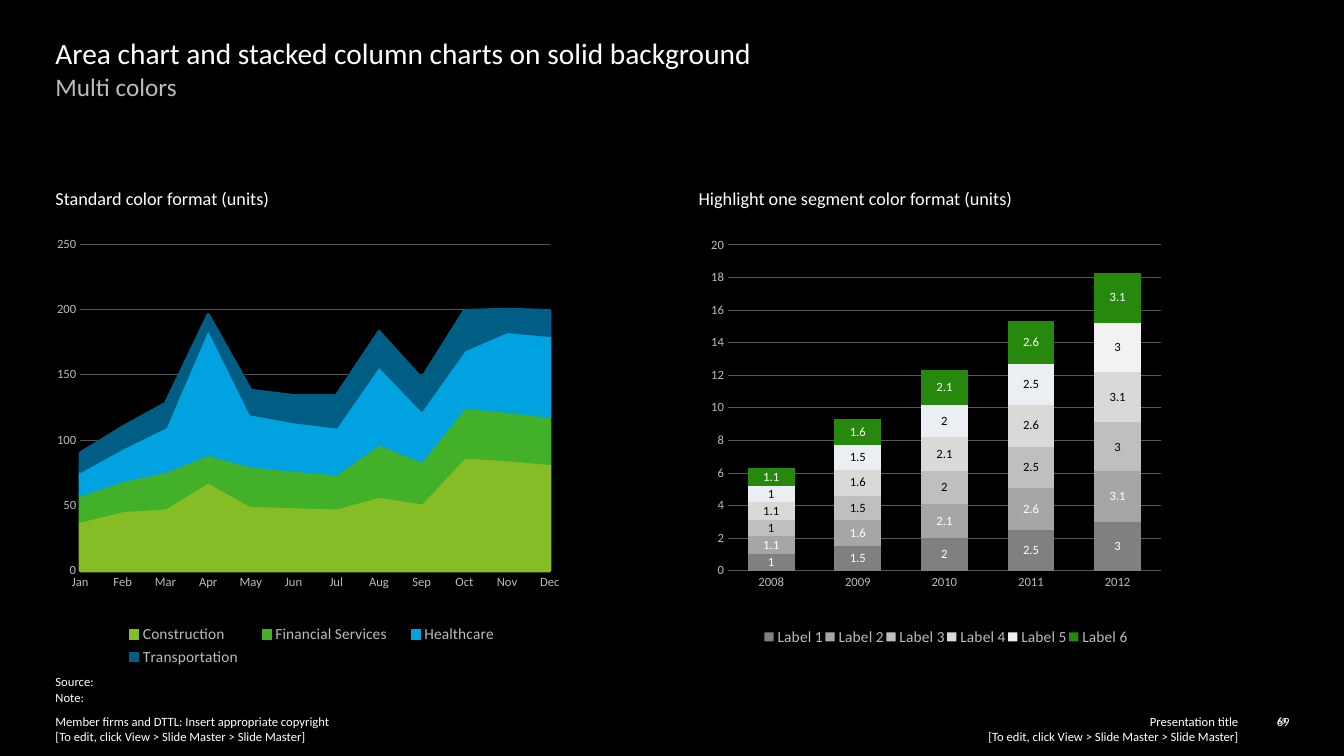
import pptx
import pptx.chart.data
import pptx.dml.color
import pptx.enum.chart
import pptx.enum.text
import pptx.oxml
import pptx.oxml.ns
import pptx.util
from dataclasses import dataclass

Inches = pptx.util.Inches
Pt = pptx.util.Pt
ChartType = pptx.enum.chart.XL_CHART_TYPE

# Content
TITLE = "Area chart and stacked column charts on solid background"
SUBTITLE = "Multi colors"
NOTES = ["Source:", "Note:"]
EDIT_HINT = "[To edit, click View > Slide Master > Slide Master]"
COPYRIGHT = "Member firms and DTTL: Insert appropriate copyright\n" + EDIT_HINT
RUNNING_TITLE = "Presentation title\n" + EDIT_HINT
PAGE_NUMBER = "69"

MONTHS = ["Jan", "Feb", "Mar", "Apr", "May", "Jun",
          "Jul", "Aug", "Sep", "Oct", "Nov", "Dec"]
SECTORS = [  # name, values, colour
    ("Construction", [38, 46, 48, 68, 50, 49, 48, 57, 52, 87, 85, 82], "86BC25"),
    ("Financial Services", [20, 23, 28, 21, 30, 28, 26, 40, 32, 38, 37, 36], "43B02A"),
    ("Healthcare", [18, 25, 34, 97, 40, 37, 36, 60, 39, 44, 61, 62], "00A3E0"),
    ("Transportation", [14, 16, 18, 10, 18, 20, 24, 26, 24, 30, 17, 19], "005D84"),
]
YEARS = ["2008", "2009", "2010", "2011", "2012"]
ODD_VALUES = [1, 1.5, 2, 2.5, 3]
EVEN_VALUES = [1.1, 1.6, 2.1, 2.6, 3.1]
SEGMENTS = [  # name, values, colour, label colour
    ("Label 1", ODD_VALUES, "808080", "FFFFFF"),
    ("Label 2", EVEN_VALUES, "A6A6A6", "FFFFFF"),
    ("Label 3", ODD_VALUES, "BFBFBF", "000000"),
    ("Label 4", EVEN_VALUES, "D9D9D9", "000000"),
    ("Label 5", ODD_VALUES, "EBEEF2", "000000"),
    ("Label 6", EVEN_VALUES, "26890D", "FFFFFF"),
]


@dataclass(frozen=True)
class Theme:
    font: str = "Calibri"
    background: str = "000000"
    text: str = "FFFFFF"
    muted: str = "BBBCBC"
    rule: str = "53565A"
    last_point: str = "F2F2F2"
    title: float = 21
    subtitle: float = 18
    heading: float = 13
    legend: float = 11
    small: float = 9
    tiny: float = 6.5


THEME = Theme()
LEFT, RIGHT = 0.55, 6.93
HEADING_TOP, CHART_TOP, FOOTER_TOP = 1.86, 2.32, 7.08
CHART_WIDTH, CHART_HEIGHT = 5, 4.37


def rgb(colour):
    return pptx.dml.color.RGBColor.from_string(colour)


def style_font(font, size, colour):
    font.name, font.size, font.bold = THEME.font, Pt(size), False
    font.color.rgb = rgb(colour)


def write_text(box, paragraphs, size=THEME.small, colour=THEME.text, align="LEFT", after=0):
    frame = box.text_frame
    frame.word_wrap = True
    frame.auto_size = pptx.enum.text.MSO_AUTO_SIZE.NONE
    frame.vertical_anchor = pptx.enum.text.MSO_ANCHOR.TOP
    frame.margin_left = frame.margin_top = frame.margin_right = frame.margin_bottom = 0
    for index, text in enumerate(paragraphs):
        para = frame.add_paragraph() if index else frame.paragraphs[0]
        para.alignment = getattr(pptx.enum.text.PP_ALIGN, align)
        para.space_before, para.space_after = Pt(0), Pt(after)
        for line_number, line in enumerate(text.split("\n")):
            if line_number:
                para.add_line_break()
            span = para.add_run()
            span.text = line
            style_font(span.font, size, colour)


def add_text(page, place, paragraphs, **style):
    box = page.shapes.add_textbox(*map(Inches, place))
    write_text(box, paragraphs, **style)


def set_layout(parent, position, place, inner=False):
    """Fix the place of a chart part, as fractions of the chart."""
    for old in parent.findall(pptx.oxml.ns.qn("c:layout")):
        parent.remove(old)
    target = '<c:layoutTarget val="inner"/>' if inner else ""
    modes = '<c:xMode val="edge"/><c:yMode val="edge"/>'
    sizes = "".join(f'<c:{key} val="{value}"/>' for key, value in zip("xywh", place))
    parent.insert(position, pptx.oxml.parse_xml(
        f'<c:layout {pptx.oxml.ns.nsdecls("c")}><c:manualLayout>'
        f"{target}{modes}{sizes}</c:manualLayout></c:layout>"))


def add_chart(page, kind, left, categories, series, top_value, step, plot_place, legend_place):
    data = pptx.chart.data.CategoryChartData()
    data.categories = categories
    for name, values, *_ in series:
        data.add_series(name, values)
    place = map(Inches, (left, CHART_TOP, CHART_WIDTH, CHART_HEIGHT))
    chart = page.shapes.add_chart(kind, *place, data).chart
    chart.has_title = False
    style_font(chart.font, THEME.small, THEME.text)

    # Axes
    for axis in (chart.category_axis, chart.value_axis):
        axis.major_tick_mark = axis.minor_tick_mark = pptx.enum.chart.XL_TICK_MARK.NONE
        style_font(axis.tick_labels.font, THEME.small, THEME.muted)
    chart.value_axis.minimum_scale = 0
    chart.value_axis.maximum_scale = top_value
    chart.value_axis.major_unit = step
    chart.value_axis.format.line.fill.background()
    chart.value_axis.has_major_gridlines = True
    for part in (chart.category_axis, chart.value_axis.major_gridlines):
        part.format.line.color.rgb = rgb(THEME.rule)
        part.format.line.width = Pt(0.5)

    # Legend and plot area
    chart.has_legend = True
    chart.legend.position = pptx.enum.chart.XL_LEGEND_POSITION.BOTTOM
    chart.legend.include_in_layout = False
    style_font(chart.legend.font, THEME.legend, THEME.muted)
    set_layout(chart.legend._element, 1, legend_place)
    set_layout(chart._chartSpace.chart.plotArea, 0, plot_place, inner=True)

    for drawn, (_, _, colour, *_) in zip(chart.plots[0].series, series):
        drawn.format.fill.solid()
        drawn.format.fill.fore_color.rgb = rgb(colour)
    return chart


def add_area_chart(page):
    chart = add_chart(page, ChartType.AREA_STACKED, LEFT, MONTHS, SECTORS, 250, 50,
                      (0.049, 0.023, 0.934, 0.742), (0.11, 0.88, 0.8, 0.11))
    for crossing in chart._chartSpace.xpath(".//c:crossBetween"):
        crossing.set("val", "midCat")
    for drawn, (_, _, colour) in zip(chart.plots[0].series, SECTORS):
        drawn.format.line.color.rgb = rgb(colour)
        drawn.format.line.width = Pt(2.25)


def add_column_chart(page):
    chart = add_chart(page, ChartType.COLUMN_STACKED, 6.86, YEARS, SEGMENTS, 20, 2,
                      (0.072, 0.025, 0.859, 0.74), (0.14, 0.88, 0.73, 0.07))
    plot = chart.plots[0]
    plot.gap_width, plot.overlap, plot.vary_by_categories = 85, 100, False
    for drawn, (_, _, _, label_colour) in zip(plot.series, SEGMENTS):
        drawn.invert_if_negative = False
        labels = drawn.data_labels
        labels.show_value = True
        labels.position = pptx.enum.chart.XL_LABEL_POSITION.CENTER
        style_font(labels.font, THEME.small, label_colour)
    point_fill = plot.series[4].points[4].format.fill
    point_fill.solid()
    point_fill.fore_color.rgb = rgb(THEME.last_point)


def main():
    deck = pptx.Presentation()
    deck.slide_width, deck.slide_height = Inches(13.33), Inches(7.5)
    page = deck.slides.add_slide(deck.slide_layouts[5])
    page.background.fill.solid()
    page.background.fill.fore_color.rgb = rgb(THEME.background)

    # Title and subtitle
    title = page.shapes.title
    title.left, title.top, title.width, title.height = map(Inches, (LEFT, 0.35, 12.24, 0.34))
    write_text(title, [TITLE], size=THEME.title)
    add_text(page, (LEFT, 0.71, 12.18, 0.83), [SUBTITLE],
             size=THEME.subtitle, colour=THEME.muted, after=10)

    # Charts and their headings
    for left, heading in ((LEFT, "Standard color format (units)"),
                          (RIGHT, "Highlight one segment color format (units)")):
        add_text(page, (left, HEADING_TOP, 5.82, 0.42), [heading], size=THEME.heading, after=10)
    add_area_chart(page)
    add_column_chart(page)

    # Notes and footer
    add_text(page, (LEFT, 6.69, 12.19, 0.28), NOTES)
    add_text(page, (LEFT, FOOTER_TOP, 5.86, 0.3), [COPYRIGHT])
    add_text(page, (RIGHT, FOOTER_TOP, 5.35, 0.3), [RUNNING_TITLE], align="RIGHT")
    add_text(page, (12.45, FOOTER_TOP, 0.34, 0.15), [PAGE_NUMBER], align="RIGHT")
    add_text(page, (12.25, 7.1, 0.51, 0.36), [PAGE_NUMBER], size=THEME.tiny, align="RIGHT")

    deck.save("out.pptx")


if __name__ == "__main__":
    main()
